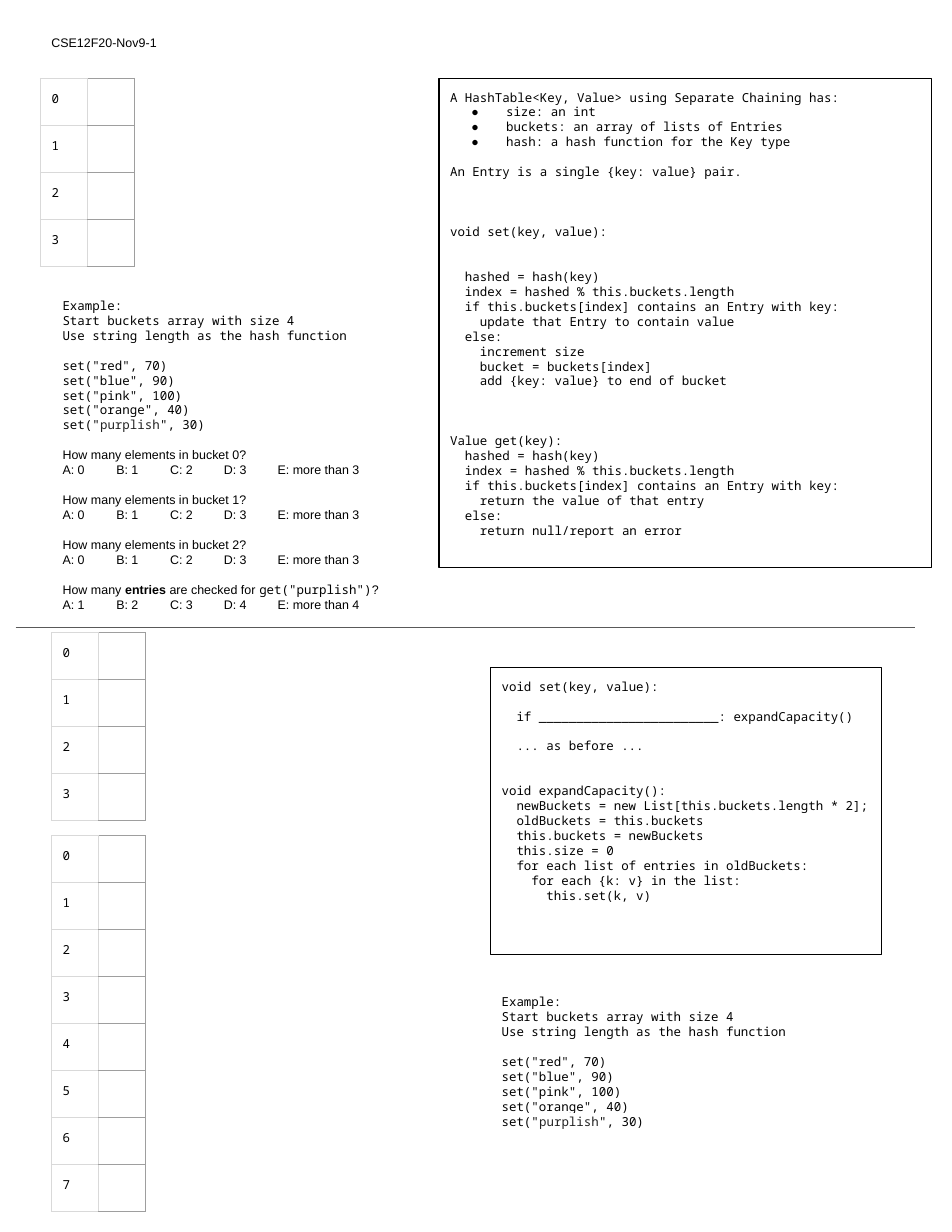
"""Build a one-page hash table worksheet with bucket tables, code boxes and questions."""
from lxml import etree
from pptx import Presentation
from pptx import util as u
from pptx.dml import color
from pptx.enum import shapes, text
from pptx.oxml import ns

COLOURS = {"ink": "000000", "soft": "222222", "paper": "FFFFFF",
           "pale": "D9D9D9", "grey": "9E9E9E", "rule": "595959"}
STYLES = {
    "code": {"name": "Noto Sans Mono", "size": u.Pt(8)},
    "prose": {"name": "Arial", "size": u.Pt(8)},
    "strong": {"name": "Arial", "size": u.Pt(8), "bold": True},
    "marked": {"name": "Noto Sans Mono", "size": u.Pt(8)},
}
LINE_PITCH = 9.6
CODE_INDENT = 0.2 / 3
TAB_PITCH = 0.48
CELL = 0.42
INSET = u.Inches(0.1)

TABLE_RULES = """A HashTable<Key, Value> using Separate Chaining has:
● size: an int
● buckets: an array of lists of Entries
● hash: a hash function for the Key type

An Entry is a single {key: value} pair.



void set(key, value):


  hashed = hash(key)
  index = hashed % this.buckets.length
  if this.buckets[index] contains an Entry with key:
    update that Entry to contain value
  else:
    increment size
    bucket = buckets[index]
    add {key: value} to end of bucket



Value get(key):
  hashed = hash(key)
  index = hashed % this.buckets.length
  if this.buckets[index] contains an Entry with key:
    return the value of that entry
  else:
    return null/report an error"""

EXPANSION = """void set(key, value):

  if ________________________: expandCapacity()

  ... as before ...


void expandCapacity():
  newBuckets = new List[this.buckets.length * 2];
  oldBuckets = this.buckets
  this.buckets = newBuckets
  this.size = 0
  for each list of entries in oldBuckets:
    for each {k: v} in the list:
      this.set(k, v)"""

EXAMPLE = """Example:
Start buckets array with size 4
Use string length as the hash function

set("red", 70)
set("blue", 90)
set("pink", 100)
set("orange", 40)"""


def rgb(name):
    """Return the named colour."""
    return color.RGBColor.from_string(COLOURS[name])


def add_xml(parent, tag, **attributes):
    """Append a DrawingML element to a parent."""
    return etree.SubElement(parent, ns.qn(tag), attributes)


def add_span(para, words, style):
    """Add one styled run of text."""
    span = para.add_run()
    span.text = words
    for key, value in STYLES[style].items():
        setattr(span.font, key, value)
    span.font.color.rgb = rgb("soft" if style == "marked" else "ink")
    if style == "marked":
        highlight = etree.Element(ns.qn("a:highlight"))
        add_xml(highlight, "a:srgbClr", val=COLOURS["paper"])
        span.font._element.find(ns.qn("a:solidFill")).addnext(highlight)


def code_lines(listing):
    """Turn a listing into lines of gap, indent, bullet flag and spans."""
    lines, gap = [], 0
    for row in listing.splitlines():
        if not row:
            gap += 1
            continue
        words = row.lstrip()
        bullet = words.startswith("● ")
        indent = 0.5 if bullet else (len(row) - len(words)) * CODE_INDENT
        lines.append((gap, indent, bullet, [(words.removeprefix("● "), "code")]))
        gap = 0
    return lines


def example_lines():
    """Return the worked example with its last key highlighted."""
    last = [('set("', "code"), ("purplish", "marked"), ('", 30)', "code")]
    return code_lines(EXAMPLE) + [(0, 0, False, last)]


def question_lines():
    """Return the questions and their tabbed choices."""
    questions = [([(f"How many elements in bucket {n}?", "prose")], 0) for n in range(3)]
    questions.append(([("How many ", "prose"), ("entries", "strong"),
                       (" are checked for ", "prose"), ('get("purplish")', "code"),
                       ("?", "prose")], 1))
    lines = []
    for spans, first in questions:
        choices = [f"{letter}: {first + n}" for n, letter in enumerate("ABCD")]
        choices.append(f"E: more than {first + 3}")
        lines.append((1, 0, False, spans))
        lines.append((0, 0, False, [("\t".join(choices), "prose")]))
    return lines


def fill_frame(frame, lines):
    """Write lines into a text frame at a fixed pitch."""
    settings = {"word_wrap": True, "vertical_anchor": text.MSO_ANCHOR.TOP,
                "margin_left": INSET, "margin_right": INSET,
                "margin_top": INSET, "margin_bottom": INSET}
    for key, value in settings.items():
        setattr(frame, key, value)
    for number, (gap, indent, bullet, spans) in enumerate(lines):
        para = frame.add_paragraph() if number else frame.paragraphs[0]
        para.alignment = text.PP_ALIGN.LEFT
        para.line_spacing = u.Pt(LINE_PITCH)
        para.space_before = u.Pt(gap * LINE_PITCH)
        props = para._p.get_or_add_pPr()
        props.set("marL", str(u.Inches(indent)))
        props.set("indent", str(u.Inches(-0.31 if bullet else 0)))
        if bullet:
            add_xml(add_xml(props, "a:buClr"), "a:srgbClr", val=COLOURS["ink"])
            add_xml(props, "a:buFont", typeface=STYLES["code"]["name"])
            add_xml(props, "a:buChar", char="●")
        if any("\t" in words for words, _ in spans):
            props.set("defTabSz", str(u.Inches(TAB_PITCH)))
            stops = add_xml(props, "a:tabLst")
            for n in range(1, 5):
                add_xml(stops, "a:tab", pos=str(u.Inches(n * TAB_PITCH)), algn="l")
        for words, style in spans:
            add_span(para, words, style)


def add_text(page, place, lines):
    """Add a plain text box."""
    box = page.shapes.add_textbox(*map(u.Inches, place))
    fill_frame(box.text_frame, lines)


def add_code_box(page, place, listing):
    """Add an outlined box holding a listing."""
    box = page.shapes.add_shape(shapes.MSO_SHAPE.RECTANGLE, *map(u.Inches, place))
    box.shadow.inherit = False
    box.fill.background()
    box.line.color.rgb = rgb("ink")
    box.line.width = u.Pt(0.75)
    fill_frame(box.text_frame, code_lines(listing))


def add_buckets(page, left, top, count):
    """Add a table of numbered empty buckets."""
    place = map(u.Inches, (left, top, 2 * CELL, count * CELL))
    table = page.shapes.add_table(count, 2, *place).table
    table.first_row = table.horz_banding = False
    for column in table.columns:
        column.width = u.Inches(CELL)
    for number, row in enumerate(table.rows):
        row.height = u.Inches(CELL)
        for cell, edge in zip(row.cells, ("pale", "grey")):
            for side in ("left", "right", "top", "bottom"):
                setattr(cell, f"margin_{side}", INSET)
                tone = "pale" if side == "left" else edge
                line = add_xml(cell._tc.get_or_add_tcPr(), f"a:ln{side[0].upper()}",
                               w=str(u.Pt(0.75)))
                add_xml(add_xml(line, "a:solidFill"), "a:srgbClr", val=COLOURS[tone])
            cell.fill.background()
        label, blank = (cell.text_frame.paragraphs[0] for cell in row.cells)
        add_span(label, str(number), "code")
        add_xml(blank._p, "a:endParaRPr", sz="800")


def add_divider(page, left, right, top):
    """Add a thin horizontal line."""
    ends = map(u.Inches, (left, top, right, top))
    line = page.shapes.add_connector(shapes.MSO_CONNECTOR.STRAIGHT, *ends)
    line.line.color.rgb = rgb("rule")
    line.line.width = u.Pt(0.75)
    add_xml(line._element.spPr, "a:effectLst")


def main():
    """Assemble and save the worksheet."""
    deck = Presentation()
    deck.slide_width, deck.slide_height = u.Inches(8.5), u.Inches(11)
    page = deck.slides.add_slide(deck.slide_layouts[6])
    add_text(page, (0.36, 0.25, 2.04, 0.34), [(0, 0, False, [("CSE12F20-Nov9-1", "prose")])])
    add_buckets(page, 0.36, 0.7, 4)
    add_code_box(page, (3.92, 0.7, 4.4, 4.37), TABLE_RULES)
    add_text(page, (0.46, 2.56, 3.18, 3.04), example_lines() + question_lines())
    add_buckets(page, 0.46, 7.46, 8)
    add_code_box(page, (4.38, 5.96, 3.49, 2.56), EXPANSION)
    add_divider(page, 0.14, 8.17, 5.6)
    add_buckets(page, 0.46, 5.65, 4)
    add_text(page, (4.38, 8.78, 3.49, 2.1), example_lines())
    deck.save("out.pptx")


if __name__ == "__main__":
    main()
